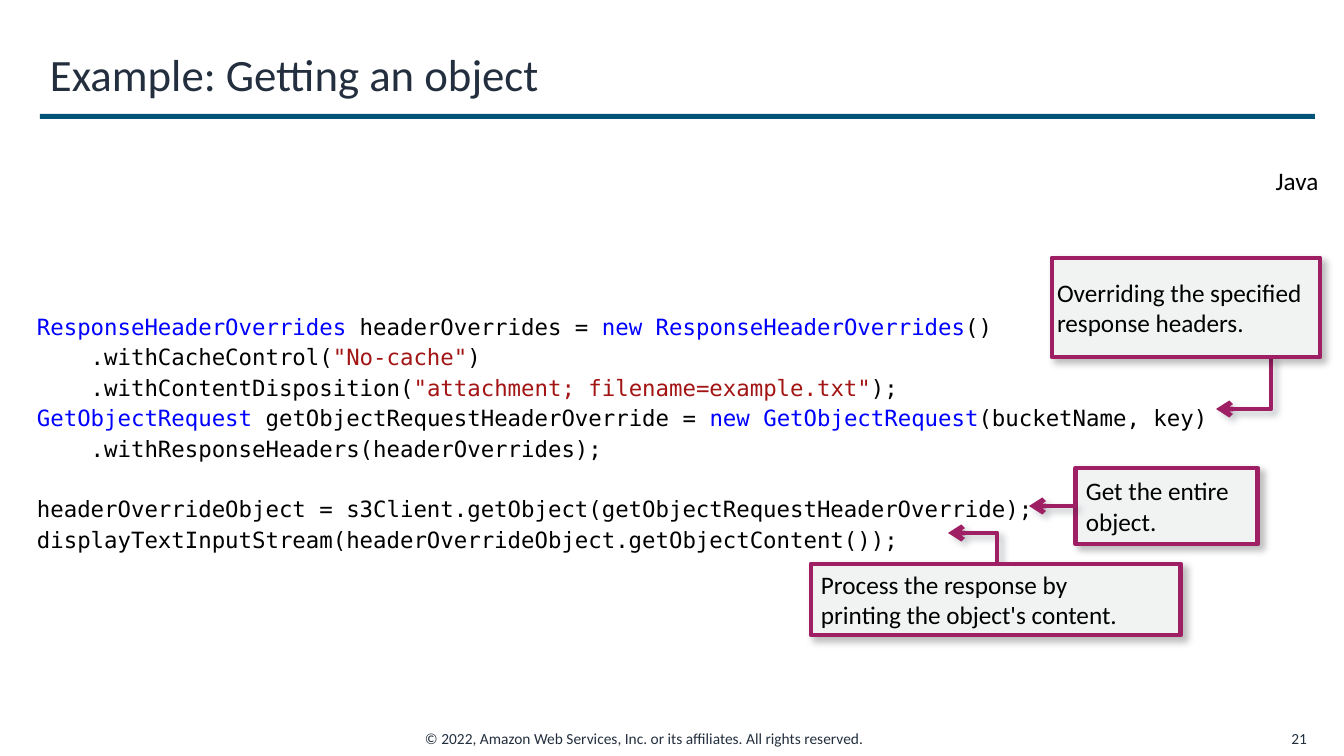
from lxml.etree import SubElement
from pptx import Presentation
from pptx.dml.color import RGBColor
from pptx.enum.shapes import MSO_CONNECTOR as CONN, MSO_SHAPE as SHAPE
from pptx.enum.text import MSO_ANCHOR as ANCHOR, PP_ALIGN as ALIGN
from pptx.oxml.ns import qn
from pptx.util import Emu, Pt

PX = 914400 / 100.8
NAVY = RGBColor(0x23, 0x2F, 0x3E)
TEAL = RGBColor(0x00, 0x52, 0x76)
BLACK = RGBColor(0x00, 0x00, 0x00)
BLUE = RGBColor(0x00, 0x00, 0xFF)
RED = RGBColor(0xA3, 0x15, 0x15)
PLUM = RGBColor(0x9E, 0x1F, 0x63)
MIST = RGBColor(0xF1, 0xF3, 0xF3)
INSETS = (10, 5, 10, 5)

CODE = [
    [("ResponseHeaderOverrides", BLUE), (" headerOverrides = ", BLACK),
     ("new ResponseHeaderOverrides", BLUE), ("()", BLACK)],
    [("    .withCacheControl(", BLACK), ('"No-cache"', RED), (")", BLACK)],
    [("    .withContentDisposition(", BLACK),
     ('"attachment; filename=example.txt"', RED), (");", BLACK)],
    [("GetObjectRequest", BLUE), (" getObjectRequestHeaderOverride = ", BLACK),
     ("new GetObjectRequest", BLUE), ("(bucketName, key)", BLACK)],
    [("    .withResponseHeaders(headerOverrides);", BLACK)],
    [("headerOverrideObject = s3Client.getObject(getObjectRequestHeaderOverride);", BLACK)],
    [("displayTextInputStream(headerOverrideObject.getObjectContent());", BLACK)],
]
SECTION_START = 5


def px(n):
    return Emu(round(n * PX))


def set_frame(tf, insets=INSETS, wrap=True, anchor=ANCHOR.TOP):
    sides = ("margin_left", "margin_top", "margin_right", "margin_bottom")
    values = dict(zip(sides, map(px, insets)), word_wrap=wrap, vertical_anchor=anchor)
    for name, value in values.items():
        setattr(tf, name, value)


def add_run(p, text, size, color, font="Calibri"):
    r = p.add_run()
    r.text = text
    for name, value in {"name": font, "size": Pt(size)}.items():
        setattr(r.font, name, value)
    r.font.color.rgb = color


def add_label(s, box, text, size, color, align=ALIGN.LEFT, **frame):
    tf = s.shapes.add_textbox(*map(px, box)).text_frame
    set_frame(tf, **frame)
    p = tf.paragraphs[0]
    p.alignment = align
    add_run(p, text, size, color)


def add_rect(s, box, fill):
    sp = s.shapes.add_shape(SHAPE.RECTANGLE, *map(px, box))
    sp.shadow.inherit = False
    sp.fill.solid()
    sp.fill.fore_color.rgb = fill
    sp.line.fill.background()
    return sp


def outline(sp, shadow_color):
    sp.line.color.rgb = PLUM
    sp.line.width = Pt(3.5)
    sp_pr = sp._element.spPr
    effects = sp_pr.find(qn("a:effectLst"))
    if effects is None:
        effects = SubElement(sp_pr, qn("a:effectLst"))
    shadow = SubElement(effects, qn("a:outerShdw"), blurRad="63500", dist="53340",
                        dir="2700000", algn="tl", rotWithShape="0")
    color = SubElement(shadow, qn("a:srgbClr"), val=str(shadow_color))
    SubElement(color, qn("a:alpha"), val="25000")


def style_arrow(c):
    outline(c, NAVY)
    SubElement(c.line._get_or_add_ln(), qn("a:tailEnd"), type="arrow")


def add_bent_arrow(s, start, tip):
    (x1, y1), (x2, y2) = start, tip
    run, rise = abs(x2 - x1), abs(y2 - y1)
    left = (x1 + x2 - rise) / 2
    top = (y1 + y2 - run) / 2
    upward = y2 < y1
    ys = (top + run, top) if upward else (top, top + run)
    c = s.shapes.add_connector(CONN.ELBOW, px(left), px(ys[0]), px(left + rise), px(ys[1]))
    sp_pr = c._element.spPr
    sp_pr.find(qn("a:xfrm")).set("rot", str((270 if upward else 90) * 60000))
    sp_pr.find(qn("a:prstGeom")).set("prst", "bentConnector2")
    style_arrow(c)


def add_callout(s, box, text, insets=INSETS):
    sp = add_rect(s, box, MIST)
    outline(sp, BLACK)
    set_frame(sp.text_frame, insets, anchor=ANCHOR.MIDDLE)
    p = sp.text_frame.paragraphs[0]
    p.alignment = ALIGN.LEFT
    add_run(p, text, 18, BLACK)
    return sp


def add_header(s, x, y, w, h):
    add_rect(s, (x, y + h, w, 5), TEAL)
    add_label(s, (x, y, w, h), "Example: Getting an object", 32, NAVY, anchor=ANCHOR.MIDDLE)


def add_footer(s, x, y, w, h):
    add_label(s, (x, y, 513, h),
              "© 2022, Amazon Web Services, Inc. or its affiliates. All rights reserved.",
              11, NAVY, wrap=False)
    add_label(s, (x + w - 53, y, 53, h), "21", 11, NAVY, ALIGN.RIGHT, anchor=ANCHOR.MIDDLE)


def add_code(s, x, y, w, h):
    tf = s.shapes.add_textbox(*map(px, (x, y, w, h))).text_frame
    set_frame(tf, (10, 36, 5, 12))
    for i, line in enumerate(CODE):
        p = tf.paragraphs[0] if i == 0 else tf.add_paragraph()
        if i:
            p.space_before = Pt(23.8 if i == SECTION_START else 2.6)
        for text, color in line:
            add_run(p, text, 16, color, "DejaVu Sans Mono")


def add_callouts(s, x, y):
    get_box = add_callout(s, (x + 265, y + 210, 182, 76), "Get the entire object.")
    c = s.shapes.add_connector(CONN.STRAIGHT, px(x + 265), px(y + 248), px(x + 218), px(y + 248))
    c.begin_connect(get_box, 1)
    style_arrow(c)
    add_bent_arrow(s, (x + 186, y + 306), (x + 137, y + 275))
    add_callout(s, (x, y + 306, 370, 71),
                "Process the response by printing the object's content.", (10, 5, 45, 5))
    add_bent_arrow(s, (x + 460, y + 98), (x + 405, y + 151))
    add_callout(s, (x + 241, y, 268, 99),
                "Overriding the specified response headers.", (5, 5, 0, 5))


def main():
    prs = Presentation()
    prs.slide_width, prs.slide_height = px(1344), px(756)
    s = prs.slides.add_slide(prs.slide_layouts[6])
    add_header(s, 40, 33, 1275, 81)
    add_footer(s, 415, 724, 902, 29)
    add_label(s, (1250, 165, 94, 52), "Java", 18, BLACK, ALIGN.CENTER,
              insets=(0, 0, 0, 0), wrap=False)
    add_code(s, 27, 277, 1290, 320)
    add_callouts(s, 811, 258)
    prs.save("out.pptx")


if __name__ == "__main__":
    main()
